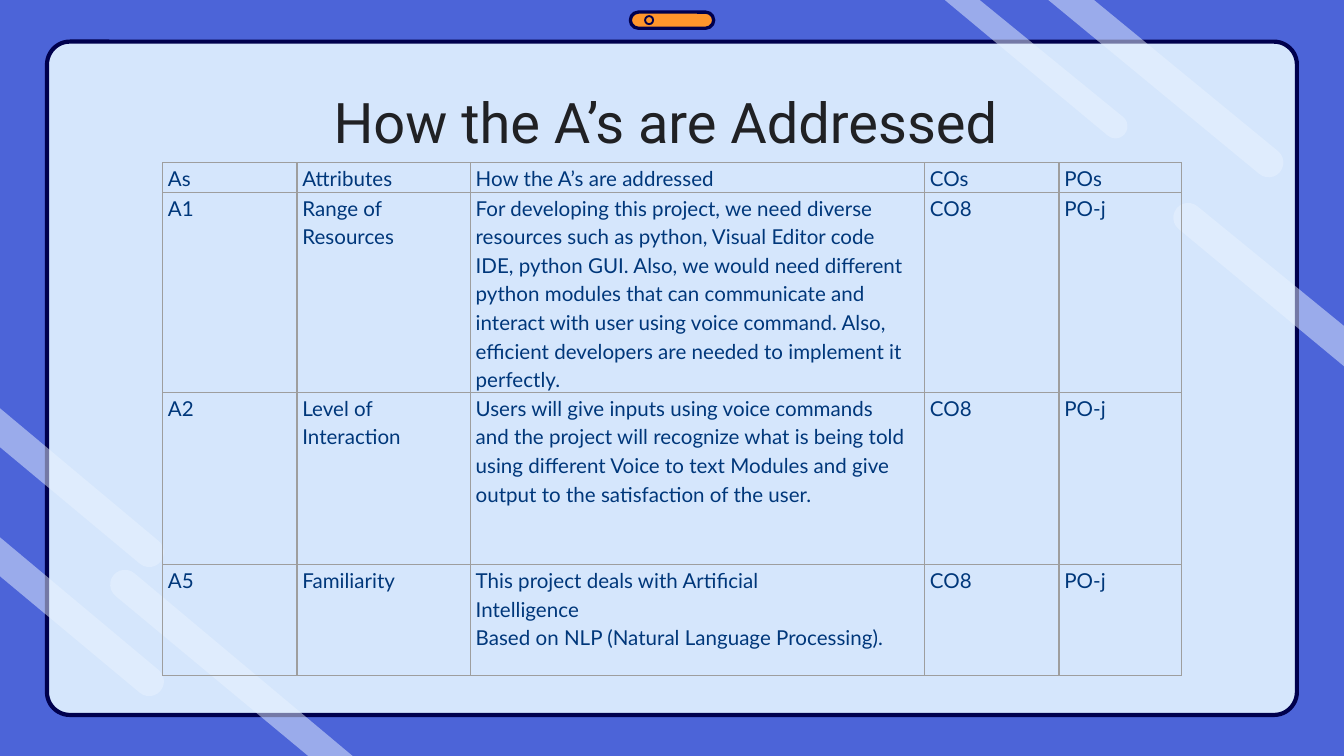
"""Build the slide that tabulates how the A's are addressed."""
import math

from lxml import etree
from pptx import Presentation
from pptx import util as u
from pptx.dml.color import RGBColor
from pptx.enum import shapes, text
from pptx.oxml import ns

BLUE = RGBColor(0x4C, 0x64, 0xD8)
PANEL = RGBColor(0xD5, 0xE6, 0xFC)
NAVY = RGBColor(0x00, 0x00, 0x4D)
STRIPE = RGBColor(0xE9, 0xF3, 0xFF)
ORANGE = RGBColor(0xFF, 0x95, 0x2B)
TITLE = RGBColor(0x20, 0x21, 0x24)
BODY = RGBColor(0x00, 0x37, 0x7A)
BORDER = RGBColor(0x9E, 0x9E, 0x9E)


def write_text(frame, content, *, font, size, color, align=text.PP_ALIGN.LEFT, spacing=1.0):
    frame.word_wrap = True
    for index, line in enumerate(content.split("\n")):
        paragraph = frame.add_paragraph() if index else frame.paragraphs[0]
        paragraph.alignment = align
        paragraph.line_spacing = spacing
        run = paragraph.add_run()
        run.text = line
        run.font.name = font
        run.font.size = u.Pt(size)
        run.font.color.rgb = color


def paint(shape, fill=None, line=None, width=0):
    shape.shadow.inherit = False
    if fill is None:
        shape.fill.background()
    else:
        shape.fill.solid()
        shape.fill.fore_color.rgb = fill
    if line is None:
        shape.line.fill.background()
    else:
        shape.line.color.rgb = line
        shape.line.width = u.Pt(width)


presentation = Presentation()
presentation.slide_width = u.Inches(10)
presentation.slide_height = u.Inches(10) * 9 // 16
slide = presentation.slides.add_slide(presentation.slide_layouts[6])
slide.background.fill.solid()
slide.background.fill.fore_color.rgb = BLUE

panel = slide.shapes.add_shape(
    shapes.MSO_SHAPE.ROUNDED_RECTANGLE,
    u.Inches(0.35), u.Inches(0.31), u.Inches(9.3), u.Inches(5.01))
panel.adjustments[0] = 0.034
paint(panel, PANEL, NAVY, 2.25)

DOWN, UP = 40, 220
stripes = [
    (DOWN, (9.44, 1.21), 0.11, (7.8, 0), (8.14, 0)),
    (DOWN, (8.3, 0.94), 0.09, (7.03, 0), (7.29, 0)),
    (UP, (0.93, 4.35), 0.11, (2.63, 5.63), (2.3, 5.63)),
    (DOWN, (1.11, 5.07), 0.11, (-0.01, 4.28), (-0.01, 3.99)),
    (DOWN, (1.11, 4.11), 0.11, (-0.01, 3.32), (-0.01, 3.03)),
    (UP, (8.84, 1.62), 0.11, (10.03, 2.45), (10.03, 2.75)),
]
for heading, (center_x, center_y), radius, first, last in stripes:
    angles = [math.radians(heading + 90 - step) for step in range(0, 181, 15)]
    cap = [(center_x + radius * math.cos(a), center_y + radius * math.sin(a)) for a in angles]
    points = [(u.Inches(x), u.Inches(y)) for x, y in [first, *cap, last]]
    builder = slide.shapes.build_freeform(*points[0])
    builder.add_line_segments(points[1:], close=True)
    stripe = builder.convert_to_shape()
    paint(stripe, STRIPE)
    color = stripe.fill._xPr.find(".//" + ns.qn("a:srgbClr"))
    etree.SubElement(color, ns.qn("a:alpha"), val="50000")

pill = slide.shapes.add_shape(
    shapes.MSO_SHAPE.ROUNDED_RECTANGLE,
    u.Inches(4.69), u.Inches(0.09), u.Inches(0.62), u.Inches(0.12))
pill.adjustments[0] = 0.5
paint(pill, ORANGE, NAVY, 1.75)
dot = slide.shapes.add_shape(
    shapes.MSO_SHAPE.OVAL,
    u.Inches(4.8), u.Inches(0.12), u.Inches(0.06), u.Inches(0.06))
paint(dot, line=NAVY, width=1)

title = slide.shapes.add_textbox(u.Inches(1.94), u.Inches(0.68), u.Inches(6.13), u.Inches(0.47))
frame = title.text_frame
frame.margin_left = frame.margin_right = frame.margin_top = frame.margin_bottom = 0
frame.vertical_anchor = text.MSO_ANCHOR.BOTTOM
write_text(frame, "How the A’s are Addressed ", font="Roboto", size=30, color=TITLE,
           align=text.PP_ALIGN.CENTER)

rows = [
    ("As", "Attributes", "How the A’s are addressed", "COs", "POs"),
    ("A1", "Range of Resources",
     "For developing this project, we need diverse resources such as python, Visual Editor code "
     "IDE, python GUI. Also, we would need different python modules that can communicate and "
     "interact with user using voice command. Also, efficient developers are needed to "
     "implement it perfectly.", "CO8", "PO-j"),
    ("A2", "Level of\nInteraction",
     "Users will give inputs using voice commands and the project will recognize what is being "
     "told using different Voice to text Modules and give output to the satisfaction of the "
     "user.", "CO8", "PO-j"),
    ("A5", "Familiarity",
     "This project deals with Artificial\nIntelligence\n"
     "Based on NLP (Natural Language Processing).", "CO8", "PO-j"),
]
widths = [1, 1.29, 3.38, 1, 0.91]
heights = [0.22, 1.49, 1.28, 0.83]
table = slide.shapes.add_table(
    len(rows), len(widths), u.Inches(1.21), u.Inches(1.21),
    u.Inches(sum(widths)), u.Inches(sum(heights))).table
table.first_row = table.horz_banding = False
for column, width in zip(table.columns, widths):
    column.width = u.Inches(width)
for row, height, contents in zip(table.rows, heights, rows):
    row.height = u.Inches(height)
    for cell, content in zip(row.cells, contents):
        cell.margin_left, cell.margin_right = u.Inches(0.04), u.Inches(0.13)
        cell.margin_top = cell.margin_bottom = 0
        write_text(cell.text_frame, content, font="Lato", size=11, color=BODY, spacing=1.15)
        properties = cell._tc.get_or_add_tcPr()
        for side in ("a:lnL", "a:lnR", "a:lnT", "a:lnB"):
            border = etree.SubElement(properties, ns.qn(side), w=str(u.Pt(0.75)))
            fill = etree.SubElement(border, ns.qn("a:solidFill"))
            etree.SubElement(fill, ns.qn("a:srgbClr"), val=str(BORDER))
        cell.fill.background()

presentation.save("out.pptx")
